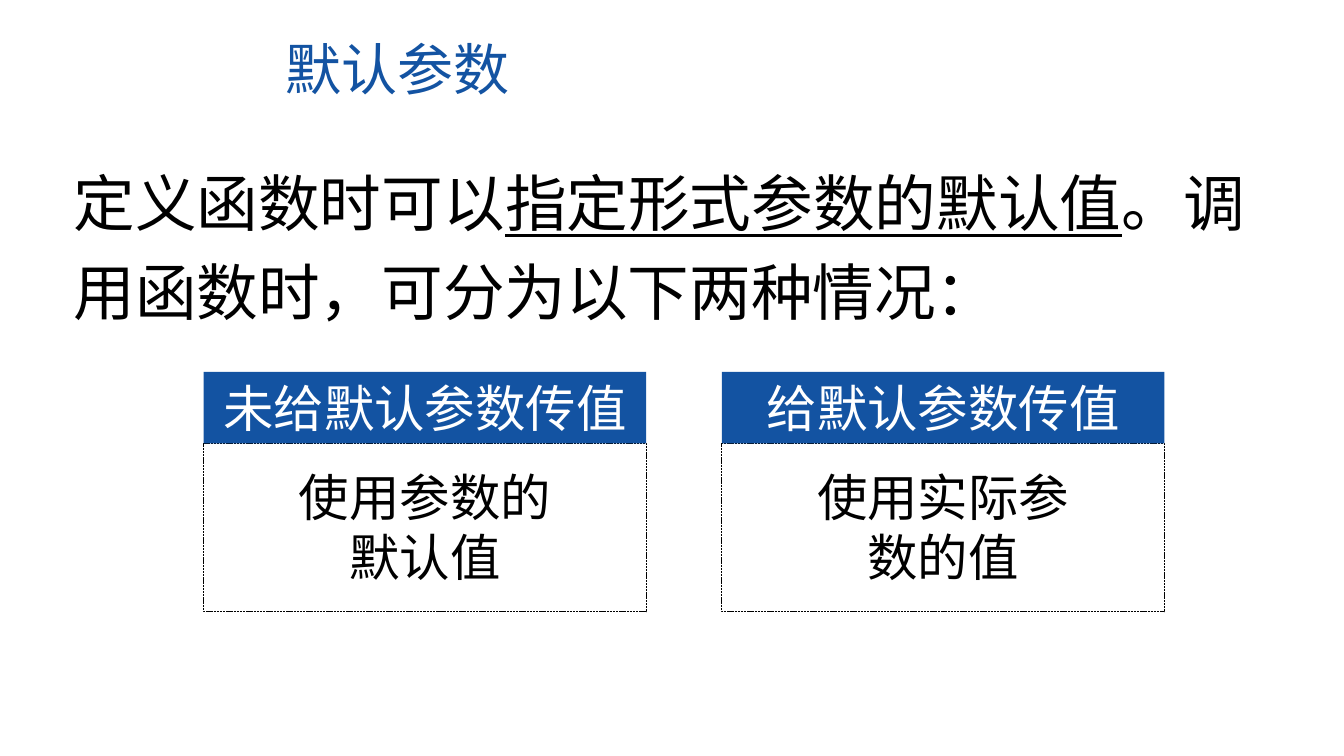
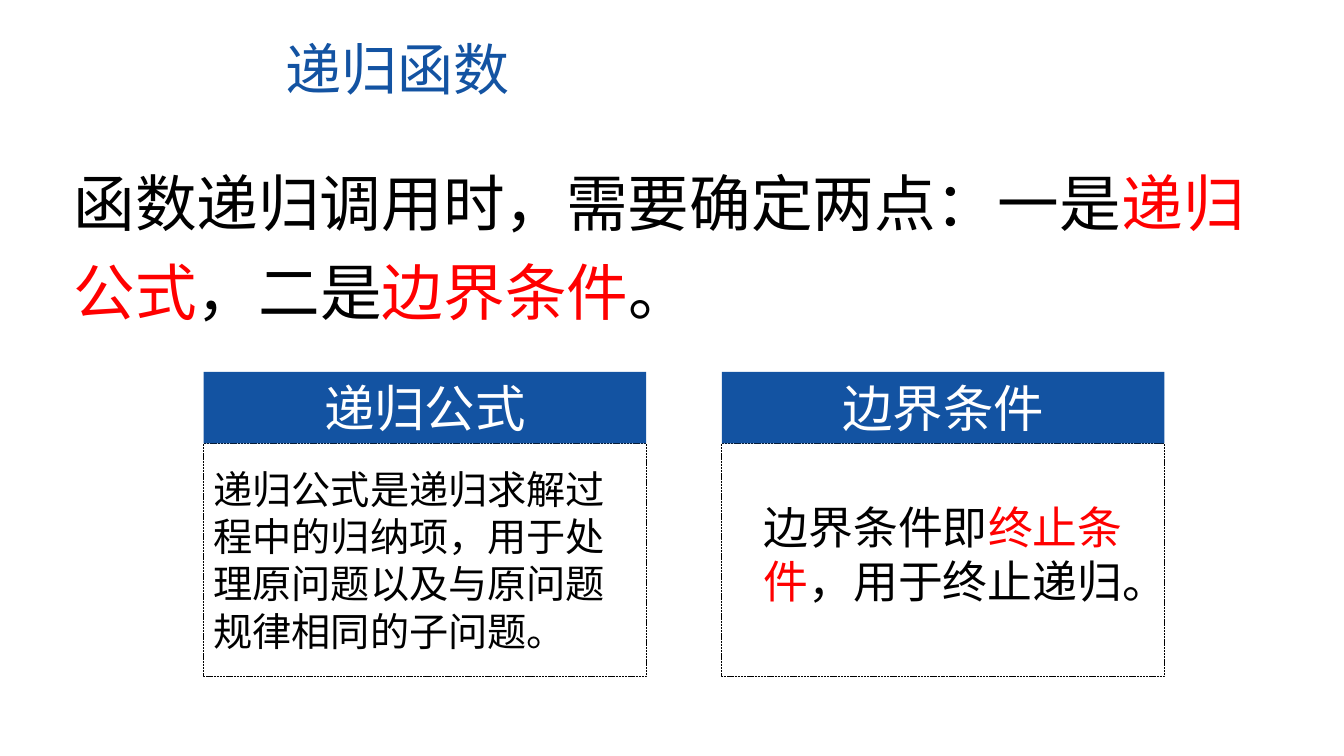
from lxml import etree
from pptx import Presentation
from pptx.dml.color import RGBColor
from pptx.enum.dml import MSO_LINE
from pptx.enum.shapes import MSO_SHAPE
from pptx.enum.text import MSO_ANCHOR, MSO_AUTO_SIZE, PP_ALIGN
from pptx.oxml.ns import qn
from pptx.util import Inches, Pt

RECTANGLE = MSO_SHAPE.RECTANGLE
DASHED = MSO_LINE.SQUARE_DOT
MIDDLE = MSO_ANCHOR.MIDDLE
GROW = MSO_AUTO_SIZE.SHAPE_TO_FIT_TEXT
LEFT, CENTER = PP_ALIGN.LEFT, PP_ALIGN.CENTER
BLANK_LAYOUT = 6

FONT = "Noto Sans CJK SC"
BLUE, BLACK, WHITE, RED = "1353A2", "000000", "FFFFFF", "FF0000"
RED_TEXT = {"color": RED}
UNDERLINED = {"underline": True}


def rgb(code):
    return RGBColor.from_string(code)


class Lesson:
    card_left, card_step, card_width = 15.15, 38.56, 32.93
    header_top, header_height = 49.2, 9.47

    def __init__(self):
        self.deck = Presentation()
        self.deck.slide_width = Inches(13.33)
        self.deck.slide_height = Inches(7.5)
        self.page = None

    def place(self, left, top, width, height):
        across = self.deck.slide_width / 100
        down = self.deck.slide_height / 100
        return [round(left * across), round(top * down),
                round(width * across), round(height * down)]

    def new_page(self, title, lead):
        layout = self.deck.slide_layouts[BLANK_LAYOUT]
        self.page = self.deck.slides.add_slide(layout)
        self.text((20.48, 3.87, 44.11, 10.27), [title], 40, BLUE)
        self.text((4.73, 19.2, 92.2, 25), lead, 44, spacing=1.2)

    def fill_text(self, frame, spans, size, color, align, spacing=None):
        frame.word_wrap = True
        para = frame.paragraphs[0]
        para.alignment = align
        para.line_spacing = spacing
        para.font.size = Pt(size)
        para.font.name = FONT
        para.font.color.rgb = rgb(color)
        defaults = para._p.get_or_add_pPr().get_or_add_defRPr()
        etree.SubElement(defaults, qn("a:ea"), typeface=FONT)
        for item in spans:
            words, style = (item, {}) if isinstance(item, str) else item
            span = para.add_run()
            span.text = words
            if "color" in style:
                span.font.color.rgb = rgb(style["color"])
            if "underline" in style:
                span.font.underline = style["underline"]

    def text(self, area, spans, size, color=BLACK, align=LEFT, spacing=None):
        box = self.page.shapes.add_textbox(*self.place(*area))
        self.fill_text(box.text_frame, spans, size, color, align, spacing)
        box.text_frame.auto_size = GROW

    def rectangle(self, area):
        box = self.page.shapes.add_shape(RECTANGLE, *self.place(*area))
        box.shadow.inherit = False
        return box

    def panel(self, area):
        box = self.rectangle(area)
        box.fill.background()
        box.line.color.rgb = rgb(BLACK)
        box.line.width = Pt(0.5)
        box.line.dash_style = DASHED

    def header(self, area, heading):
        box = self.rectangle(area)
        box.fill.solid()
        box.fill.fore_color.rgb = rgb(BLUE)
        box.line.fill.background()
        box.text_frame.vertical_anchor = MIDDLE
        self.fill_text(box.text_frame, [heading], 36, WHITE, CENTER)

    def card(self, column, heading, spans, height, size=36, align=CENTER,
             inset=4.9, drop=2.27, text_height=17.47):
        left = self.card_left + column * self.card_step
        panel_top = self.header_top + self.header_height
        self.panel((left, panel_top, self.card_width, height))
        self.text((left + inset, panel_top + drop,
                   self.card_width - 2 * inset, text_height),
                  spans, size, align=align)
        self.header((left, self.header_top, self.card_width,
                     self.header_height), heading)


def main():
    lesson = Lesson()

    lesson.new_page("默认参数", [
        "定义函数时可以", ("指定形式参数的默认值", UNDERLINED),
        "。调用函数时，可分为以下两种情况："])
    cases = [("未给默认参数传值", "使用参数的默认值"),
             ("给默认参数传值", "使用实际参数的值")]
    for column, (heading, result) in enumerate(cases):
        lesson.card(column, heading, [result], height=22.27)

    lesson.new_page("递归函数", [
        "函数递归调用时，需要确定两点：一是", ("递归公式", RED_TEXT),
        "，二是", ("边界条件", RED_TEXT), "。"])
    lesson.card(0, "递归公式",
                ["递归公式是递归求解过程中的归纳项，"
                 "用于处理原问题以及与原问题规律相同的子问题。"],
                height=30.8, size=28, align=LEFT, inset=0, text_height=26.53)
    lesson.card(1, "边界条件",
                ["边界条件即", ("终止条件", RED_TEXT), "，用于终止递归。"],
                height=30.8, size=32, inset=1.65, drop=6.8, text_height=22.8)

    lesson.deck.save("out.pptx")


if __name__ == "__main__":
    main()
